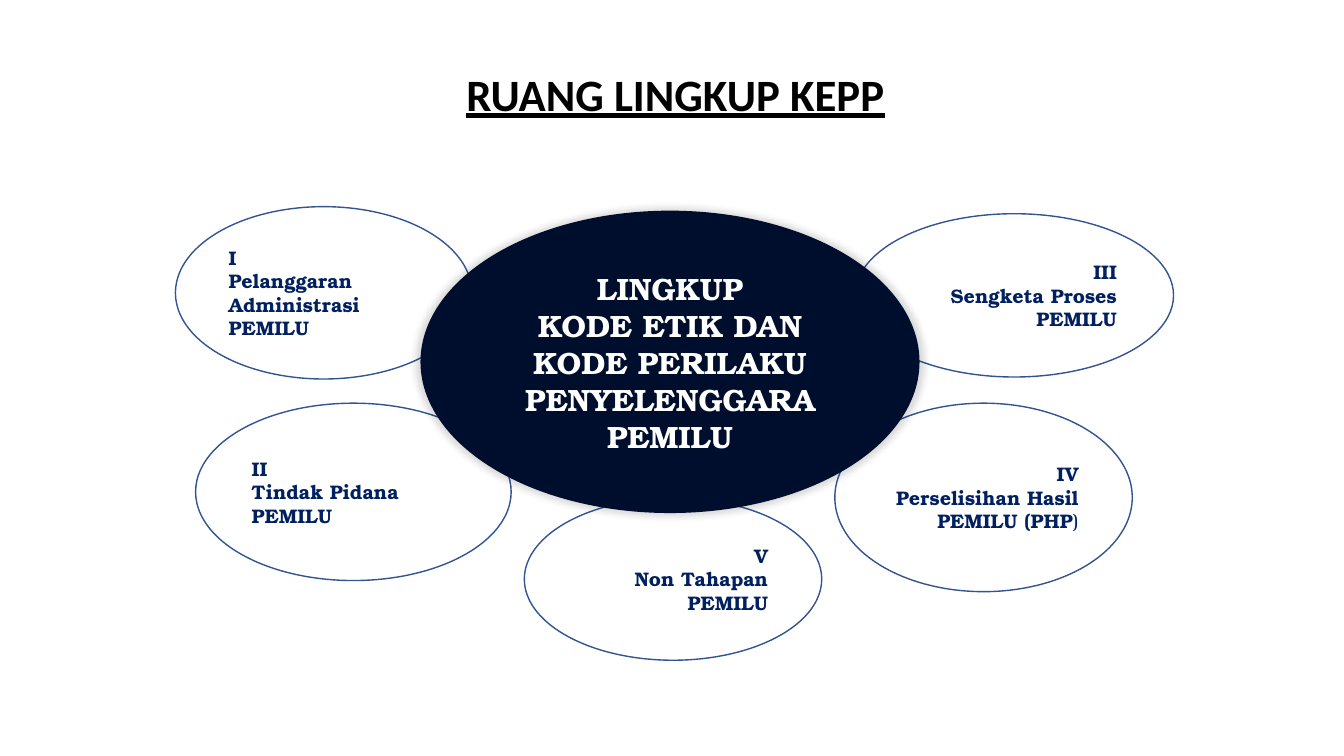
from dataclasses import dataclass

from lxml import etree
from pptx import Presentation
from pptx.dml.color import RGBColor
from pptx.enum.shapes import MSO_SHAPE
from pptx.enum.text import MSO_ANCHOR, PP_ALIGN
from pptx.oxml import parse_xml
from pptx.oxml.ns import nsdecls, qn
from pptx.util import Inches, Pt

OVAL = MSO_SHAPE.OVAL
MIDDLE = MSO_ANCHOR.MIDDLE
LEFT, CENTER, RIGHT = PP_ALIGN.LEFT, PP_ALIGN.CENTER, PP_ALIGN.RIGHT
TITLE_ONLY = 5


@dataclass(frozen=True)
class Theme:
    title_font: str = "Calibri"
    body_font: str = "TeX Gyre Bonum"
    black: str = "000000"
    white: str = "FFFFFF"
    navy: str = "002060"
    core: str = "000E2D"
    outline: str = "325491"
    title_size: int = 32
    core_size: int = 22
    scope_size: int = 14
    line_width: int = 1


class ScopeSlide:
    """Draws the elements of one slide in the given theme."""

    def __init__(self, slide, theme):
        self.slide = slide
        self.theme = theme

    def add_run(self, paragraph, text, font_name, size, color, bold=True):
        run = paragraph.add_run()
        run.text = text
        run.font.name = font_name
        run.font.size = Pt(size)
        run.font.bold = bold
        run.font.color.rgb = RGBColor.from_string(color)
        return run

    def title(self, text, left, top, width, height):
        theme = self.theme
        shape = self.slide.shapes.title
        shape.left, shape.top = Inches(left), Inches(top)
        shape.width, shape.height = Inches(width), Inches(height)
        shape.text_frame.vertical_anchor = MIDDLE
        paragraph = shape.text_frame.paragraphs[0]
        paragraph.alignment = CENTER
        properties = paragraph._p.get_or_add_pPr()
        properties.set("marL", str(Inches(0.44)))
        properties.set("indent", str(Inches(-0.37)))
        run = self.add_run(paragraph, text, theme.title_font, theme.title_size, theme.black)
        run.font.underline = True

    def ellipse(self, box, paragraphs, alignment, fill, color, size):
        shape = self.slide.shapes.add_shape(OVAL, *map(Inches, box))
        shape.shadow.inherit = False
        shape.fill.solid()
        shape.fill.fore_color.rgb = RGBColor.from_string(fill)
        frame = shape.text_frame
        frame.word_wrap = True
        frame.vertical_anchor = MIDDLE
        for index, runs in enumerate(paragraphs):
            paragraph = frame.add_paragraph() if index else frame.paragraphs[0]
            paragraph.alignment = alignment
            for text, bold in runs:
                self.add_run(paragraph, text, self.theme.body_font, size, color, bold)
        return shape

    def scope(self, box, paragraphs, alignment):
        theme = self.theme
        shape = self.ellipse(box, paragraphs, alignment, theme.white, theme.navy, theme.scope_size)
        shape.line.color.rgb = RGBColor.from_string(theme.outline)
        shape.line.width = Pt(theme.line_width)

    def core(self, box, paragraphs):
        theme = self.theme
        shape = self.ellipse(box, paragraphs, CENTER, theme.core, theme.white, theme.core_size)
        shape.line.fill.background()
        effects = shape._element.spPr.find(qn("a:effectLst"))
        shadow = parse_xml(
            f'<a:outerShdw {nsdecls("a")} blurRad="{Inches(0.07)}" sx="102000" sy="102000" '
            'algn="ctr" rotWithShape="0"/>'
        )
        color = etree.SubElement(shadow, qn("a:srgbClr"), val=theme.black)
        etree.SubElement(color, qn("a:alpha"), val="15000")
        effects.append(shadow)


SCOPES = [
    ((5.2, 4.94, 2.95, 1.61), [[("V", True)], [("Non Tahapan PEMILU", True)]], RIGHT),
    ((8.48, 2.12, 3.16, 1.62), [[("III", True)], [("Sengketa Proses PEMILU", True)]], RIGHT),
    ((1.74, 2.05, 2.94, 1.71), [[("I", True)], [("Pelanggaran Administrasi PEMILU", True)]], LEFT),
    ((8.28, 4, 2.95, 1.87),
     [[("IV", True)], [("Perselisihan Hasil PEMILU (PHP", True), (")", False)]], RIGHT),
    ((1.94, 4, 3.13, 1.76),
     [[("II", True)], [("Tindak Pidana", True)], [("PEMILU", True)]], LEFT),
]


def main():
    presentation = Presentation()
    presentation.slide_width = Inches(13.33)
    presentation.slide_height = Inches(7.5)
    slide = presentation.slides.add_slide(presentation.slide_layouts[TITLE_ONLY])
    scope_slide = ScopeSlide(slide, Theme())
    scope_slide.title("RUANG LINGKUP KEPP", 3.08, 0.55, 7.17, 0.75)
    for box, paragraphs, alignment in SCOPES:
        scope_slide.scope(box, paragraphs, alignment)
    scope_slide.core(
        (4.17, 2.09, 4.95, 3),
        [[("LINGKUP", True)], [("KODE ETIK DAN KODE PERILAKU PENYELENGGARA PEMILU", True)]],
    )
    presentation.save("out.pptx")


if __name__ == "__main__":
    main()
